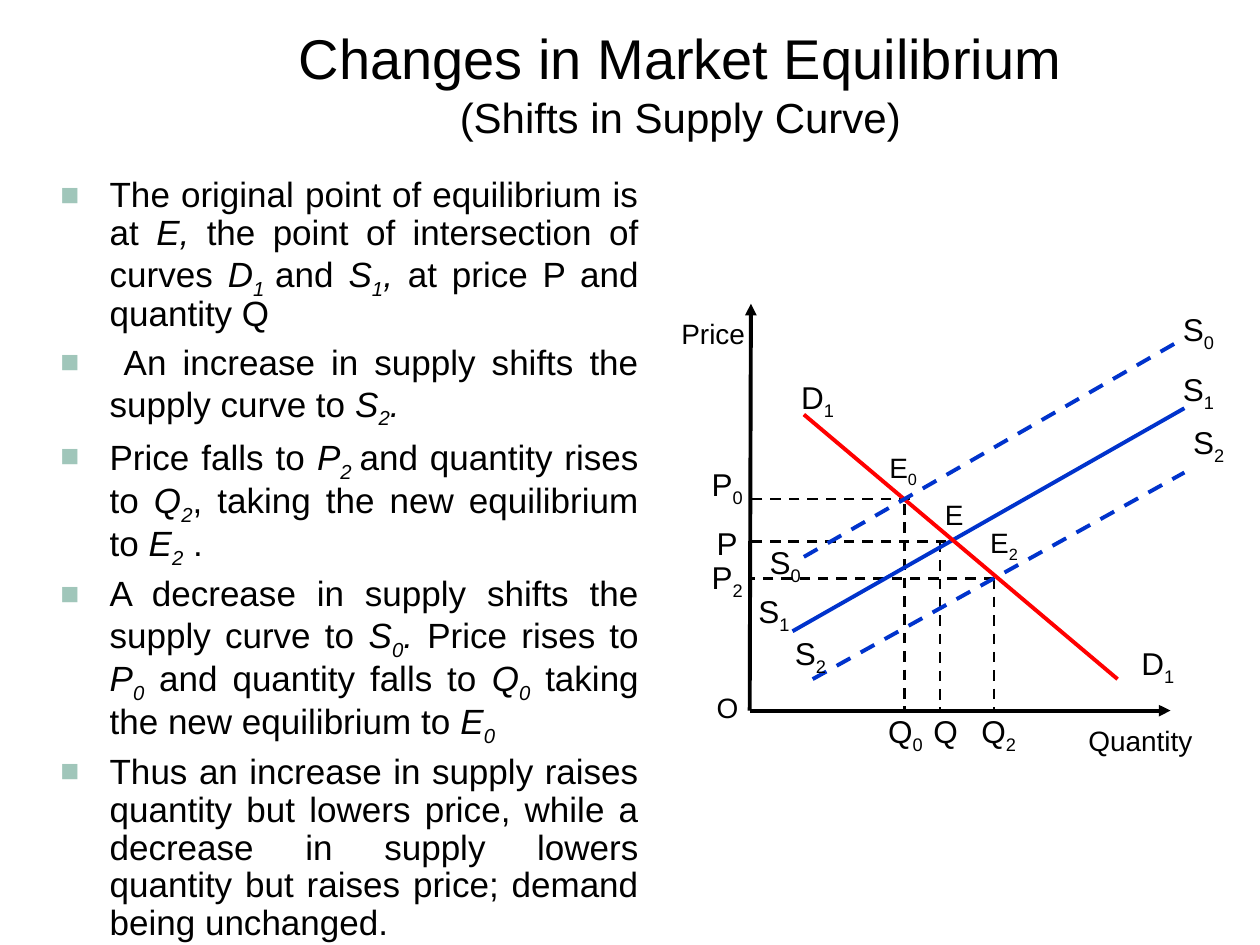
from pptx import Presentation
from pptx.dml.color import RGBColor
from pptx.enum.dml import MSO_LINE
from pptx.enum.shapes import MSO_CONNECTOR
from pptx.enum.text import MSO_ANCHOR, MSO_AUTO_SIZE, PP_ALIGN
from pptx.oxml.ns import qn
from pptx.util import Inches, Pt
from lxml import etree

STRAIGHT = MSO_CONNECTOR.STRAIGHT
DASH = MSO_LINE.DASH
TOP = MSO_ANCHOR.TOP
NO_FIT = MSO_AUTO_SIZE.NONE
CENTER, JUSTIFY = PP_ALIGN.CENTER, PP_ALIGN.JUSTIFY

FONT = "Arial"
BLACK, BLUE, RED, SAGE = "000000", "0033CC", "FF0000", "A0C6BA"

TITLE = [("Changes in Market Equilibrium", 32), ("(Shifts in Supply Curve)", 24)]

PLAIN, ITALIC, SUB = "plain", "italic", "sub"
BULLETS = [
    [("The original point of equilibrium is at ", PLAIN), ("E, ", ITALIC),
     ("the point of intersection of curves ", PLAIN), ("D", ITALIC), ("1 ", SUB),
     ("and ", PLAIN), ("S", ITALIC), ("1", SUB), (", ", ITALIC),
     ("at price P and quantity Q", PLAIN)],
    [(" An increase in supply shifts the supply curve to ", PLAIN),
     ("S", ITALIC), ("2", SUB), (".", ITALIC)],
    [("Price falls to ", PLAIN), ("P", ITALIC), ("2 ", SUB),
     ("and quantity rises to ", PLAIN), ("Q", ITALIC), ("2", SUB),
     (", taking the new equilibrium to ", PLAIN), ("E", ITALIC), ("2", SUB), (" .", PLAIN)],
    [("A decrease in supply shifts the supply curve to ", PLAIN),
     ("S", ITALIC), ("0", SUB), (". ", ITALIC), ("Price rises to ", PLAIN),
     ("P", ITALIC), ("0", SUB), (" and quantity falls to ", PLAIN),
     ("Q", ITALIC), ("0", SUB), (" taking the new equilibrium to ", PLAIN),
     ("E", ITALIC), ("0", SUB)],
    [("Thus an increase in supply raises quantity but lowers price, while a decrease "
      "in supply lowers quantity but raises price; demand being unchanged.", PLAIN)],
]

AXIS_X, AXIS_Y = 5.95, 5.64
AXES = [(AXIS_X, AXIS_Y, 9.29, AXIS_Y), (AXIS_X, AXIS_Y, 5.96, 2.41)]
PRICE_GUIDES = [(7.22, 3.96), (7.51, 4.3), (7.89, 4.59)]
QUANTITY_GUIDES = [(7.18, 4), (7.46, 4.3), (7.89, 4.59)]
CURVES = [
    (6.29, 5.01, 9.4, 3.24, BLUE, False),
    (6.45, 5.39, 9.4, 3.75, BLUE, True),
    (6.38, 3.29, 8.87, 5.39, RED, False),
    (6.38, 4.42, 9.37, 2.7, BLUE, True),
]

LABELS = [
    ("Price", "", 16, 5.31, 2.46, 0.7), ("Quantity", "", 16, 8.54, 5.69, 1.02),
    ("O", "", 16, 5.59, 5.43, 0.37),
    ("P", "0", 18, 5.55, 3.64, 0.45), ("P", "", 18, 5.59, 4.11, 0.36),
    ("P", "2", 18, 5.55, 4.38, 0.45),
    ("Q", "0", 18, 6.95, 5.6, 0.47), ("Q", "", 18, 7.31, 5.6, 0.39),
    ("Q", "2", 18, 7.69, 5.6, 0.47),
    ("E", "0", 16, 6.96, 3.53, 0.42), ("E", "", 16, 7.4, 3.9, 0.35),
    ("E", "2", 16, 7.76, 4.12, 0.42),
    ("S", "0", 18, 9.29, 2.41, 0.45), ("S", "1", 18, 9.29, 2.89, 0.45),
    ("S", "2", 18, 9.37, 3.31, 0.45),
    ("S", "0", 18, 6.01, 4.26, 0.45), ("S", "1", 18, 5.92, 4.65, 0.45),
    ("S", "2", 18, 6.21, 4.98, 0.45),
    ("D", "1", 18, 6.26, 2.95, 0.46), ("D", "1", 18, 8.96, 5.06, 0.46),
]


def color(hex_value):
    return RGBColor.from_string(hex_value)


def add_run(p, text, size, italic=False, sub=False):
    r = p.add_run()
    r.text = text
    r.font.name, r.font.size, r.font.italic = FONT, Pt(size), italic
    r.font.color.rgb = color(BLACK)
    if sub:
        r.font._element.set("baseline", "-25000")


def add_bullet(p):
    pPr = p._p.get_or_add_pPr()
    pPr.set("marL", str(Inches(0.39)))
    pPr.set("indent", str(-Inches(0.39)))
    clr = etree.SubElement(pPr, qn("a:buClr"))
    etree.SubElement(clr, qn("a:srgbClr"), val=SAGE)
    etree.SubElement(pPr, qn("a:buSzPct"), val="90000")
    etree.SubElement(pPr, qn("a:buFont"), typeface=FONT)
    etree.SubElement(pPr, qn("a:buChar"), char="■")


def place(sp, left, top, width, height):
    sp.left, sp.top = Inches(left), Inches(top)
    sp.width, sp.height = Inches(width), Inches(height)
    tf = sp.text_frame
    tf.auto_size, tf.vertical_anchor, tf.word_wrap = NO_FIT, TOP, True
    return tf


def paragraphs(tf, items):
    for i, item in enumerate(items):
        yield i, tf.paragraphs[0] if i == 0 else tf.add_paragraph(), item


def add_line(shapes, x1, y1, x2, y2, line_color, width, dashed=False, arrow=False):
    c = shapes.add_connector(STRAIGHT, Inches(x1), Inches(y1), Inches(x2), Inches(y2))
    c.line.color.rgb = color(line_color)
    c.line.width = Pt(width)
    if dashed:
        c.line.dash_style = DASH
    if arrow:
        etree.SubElement(c.line._get_or_add_ln(), qn("a:tailEnd"), type="triangle")
    etree.SubElement(c._element.spPr, qn("a:effectLst"))


def add_label(shapes, text, sub, size, left, top, width):
    height = 0.44 if sub else 0.4
    sp = shapes.add_textbox(Inches(left), Inches(top), Inches(width), Inches(height))
    tf = sp.text_frame
    tf.word_wrap, tf.margin_right = True, 0
    add_run(tf.paragraphs[0], text, size)
    if sub:
        add_run(tf.paragraphs[0], sub, size, sub=True)


def main():
    prs = Presentation()
    prs.slide_width, prs.slide_height = Inches(10), Inches(7.5)
    s = prs.slides.add_slide(prs.slide_layouts[1])

    tf = place(s.shapes.title, 2.27, 0.14, 6.26, 1.04)
    for _, p, (text, size) in paragraphs(tf, TITLE):
        p.alignment = CENTER
        add_run(p, text, size)

    tf = place(s.placeholders[1], 0.38, 1.36, 4.79, 6.01)
    for i, p, runs in paragraphs(tf, BULLETS):
        add_bullet(p)
        p.alignment, p.line_spacing = JUSTIFY, 0.9
        p.space_before = Pt(6.2 if i else 0)
        for text, style in runs:
            add_run(p, text, 20, italic=style != PLAIN, sub=style == SUB)

    shapes = s.shapes.add_group_shape().shapes
    for x, y in PRICE_GUIDES:
        add_line(shapes, x, y, AXIS_X, y, BLACK, 1.5, dashed=True)
    for x, y in QUANTITY_GUIDES:
        add_line(shapes, x, y, x, AXIS_Y, BLACK, 1.5, dashed=True)
    for x1, y1, x2, y2, line_color, dashed in CURVES:
        add_line(shapes, x1, y1, x2, y2, line_color, 2.25, dashed=dashed)
    for axis in AXES:
        add_line(shapes, *axis, BLACK, 2.25, arrow=True)
    for label in LABELS:
        add_label(shapes, *label)

    prs.save("out.pptx")


if __name__ == "__main__":
    main()
